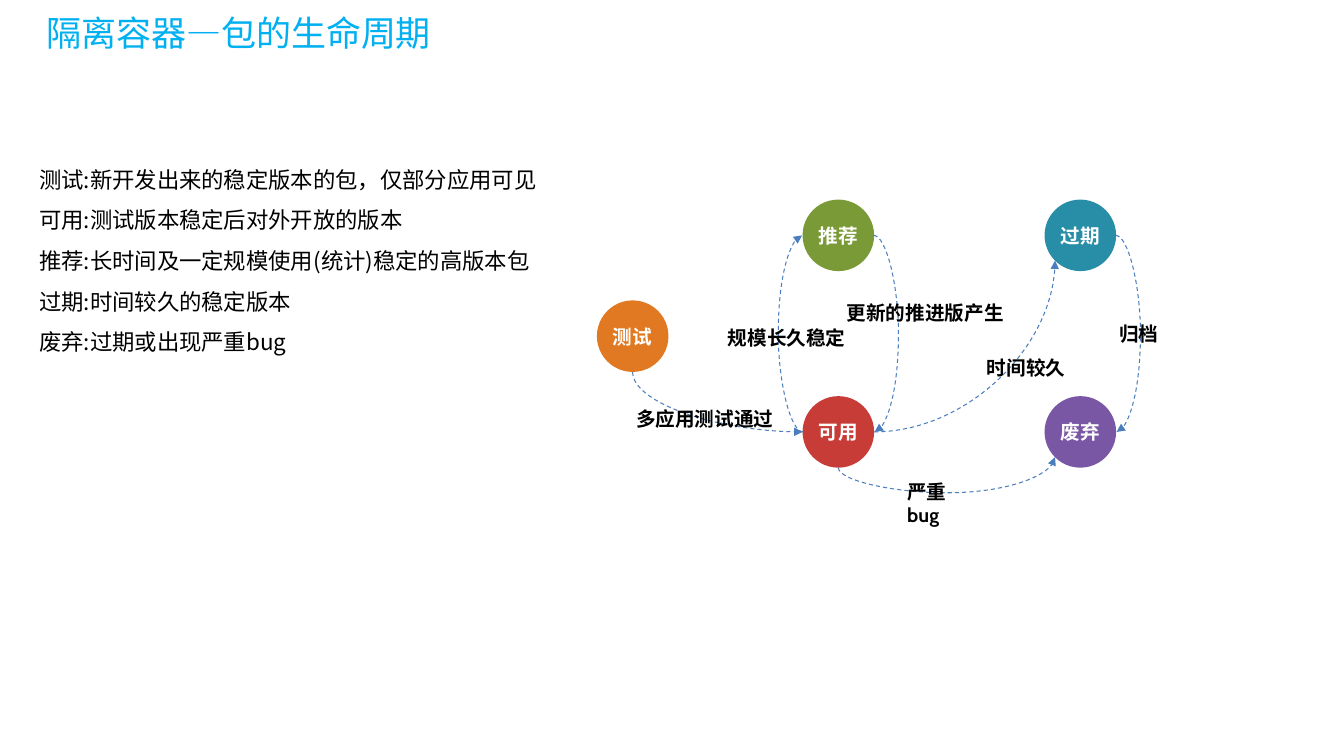
from math import cos, pi, sin

from lxml.etree import SubElement
from pptx import Presentation
from pptx.dml.color import RGBColor
from pptx.enum.dml import MSO_LINE
from pptx.enum.shapes import MSO_CONNECTOR, MSO_SHAPE
from pptx.enum.text import MSO_ANCHOR
from pptx.oxml.ns import qn
from pptx.util import Inches, Pt

SKY = RGBColor(0x00, 0xB0, 0xF0)
BLACK = RGBColor(0x00, 0x00, 0x00)
WHITE = RGBColor(0xFF, 0xFF, 0xFF)
ARROW_BLUE = RGBColor(0x4B, 0x7E, 0xBC)
ORANGE = RGBColor(0xE0, 0x79, 0x21)
RED = RGBColor(0xC8, 0x3C, 0x38)
TEAL = RGBColor(0x28, 0x8D, 0xA7)
GREEN = RGBColor(0x7A, 0x9A, 0x38)
PURPLE = RGBColor(0x79, 0x57, 0xA4)

DIAMETER = 0.71
BULGE = 0.25
BOTTOM_LEFT, LEFT, BOTTOM, RIGHT = 3, 2, 4, 6

STATES = {
    "测试": (0, 1, ORANGE),
    "可用": (2.04, 1.95, RED),
    "过期": (4.44, 0, TEAL),
    "推荐": (2.04, 0, GREEN),
    "废弃": (4.44, 1.95, PURPLE),
}
TRANSITIONS = [
    ("可用", LEFT, "推荐", LEFT, 180, "", 1),
    ("测试", BOTTOM, "可用", LEFT, 270, "H", 0),
    ("推荐", RIGHT, "可用", RIGHT, 0, "", 1),
    ("过期", RIGHT, "废弃", RIGHT, 0, "", 1),
    ("可用", RIGHT, "过期", BOTTOM_LEFT, 0, "V", 0),
    ("可用", BOTTOM, "废弃", BOTTOM_LEFT, 90, "HV", -1),
]
CAPTIONS = [
    ("多应用测试通过", 0.29, 2.01, 1.58, False),
    ("规模长久稳定", 1.2, 1.2, 1.38, False),
    ("更新的推进版产生", 2.38, 0.96, 1.77, False),
    ("时间较久", 3.77, 1.5, 0.99, False),
    ("严重bug", 2.98, 2.73, 0.9, True),
    ("归档", 5.08, 1.16, 0.59, False),
]
DEFINITIONS = [
    "测试:新开发出来的稳定版本的包，仅部分应用可见",
    "可用:测试版本稳定后对外开放的版本",
    "推荐:长时间及一定规模使用(统计)稳定的高版本包",
    "过期:时间较久的稳定版本",
    "废弃:过期或出现严重bug",
]


def add_text(slide, box, lines, size, color, font="Cabin", bold=False, wrap=True):
    """Place a text box with one paragraph per line and return its frame."""
    text_frame = slide.shapes.add_textbox(*map(Inches, box)).text_frame
    text_frame.text = "\n".join(lines)
    text_frame.word_wrap = wrap
    for paragraph in text_frame.paragraphs:
        font_format = paragraph.runs[0].font
        font_format.name = font
        font_format.size = Pt(size)
        font_format.bold = bold
        font_format.color.rgb = color
    return text_frame


def add_title(slide, box):
    """Place the slide title."""
    text_frame = add_text(slide, box, ["隔离容器—包的生命周期"], 25, SKY)
    text_frame.vertical_anchor = MSO_ANCHOR.MIDDLE
    text_frame.margin_left = text_frame.margin_right = Inches(0.17)
    text_frame.margin_top = text_frame.margin_bottom = Inches(0.08)


def add_definitions(slide, box):
    """Place the explanation of each state."""
    text_frame = add_text(slide, box, DEFINITIONS, 16, BLACK, "Noto Sans CJK SC")
    for paragraph in text_frame.paragraphs:
        paragraph.line_spacing = Pt(29)


def add_state(slide, left, top, color):
    """Draw the circle of one state."""
    circle = slide.shapes.add_shape(
        MSO_SHAPE.OVAL, *map(Inches, (left, top, DIAMETER, DIAMETER)))
    circle.shadow.inherit = False
    circle.fill.solid()
    circle.fill.fore_color.rgb = color
    circle.line.fill.background()
    return circle


def site_point(circle, site):
    """Return a connection site, counted anticlockwise from the top."""
    radius = circle.width / 2
    angle = site * pi / 4
    return (circle.left + radius * (1 - sin(angle)),
            circle.top + radius * (1 - cos(angle)))


def add_transition(slide, source, source_site, target, target_site,
                   rotation, flips, bulge):
    """Draw a dashed curved arrow glued to two circles."""
    x1, y1 = site_point(source, source_site)
    x2, y2 = site_point(target, target_site)
    width, height = abs(x2 - x1), abs(y2 - y1)
    if rotation in (90, 270):
        width, height = height, width
    width = max(width, Inches(0.01))
    connector = slide.shapes.add_connector(MSO_CONNECTOR.CURVE, 0, 0, 0, 0)
    connector.left = round((x1 + x2 - width) / 2)
    connector.top = round((y1 + y2 - height) / 2)
    connector.width, connector.height = round(width), round(height)
    connector.line.color.rgb = ARROW_BLUE
    connector.line.width = Pt(0.75)
    connector.line.dash_style = MSO_LINE.DASH

    element = connector._element
    properties = element.spPr
    transform = properties.find(qn("a:xfrm"))
    transform.set("rot", str(rotation * 60000))
    for flip in flips:
        transform.set("flip" + flip, "1")
    geometry = properties.find(qn("a:prstGeom"))
    geometry.set("prst", "curvedConnector3" if bulge else "curvedConnector2")
    if bulge:
        adjustment = round(bulge * Inches(BULGE) / width * 100000)
        guides = geometry.find(qn("a:avLst"))
        SubElement(guides, qn("a:gd"), name="adj1", fmla=f"val {adjustment}")
    SubElement(properties.find(qn("a:ln")), qn("a:tailEnd"), type="triangle")
    SubElement(properties, qn("a:effectLst"))
    links = element.find(".//" + qn("p:cNvCxnSpPr"))
    for tag, circle, site in (("a:stCxn", source, source_site),
                              ("a:endCxn", target, target_site)):
        SubElement(links, qn(tag), id=str(circle.shape_id), idx=str(site))


def add_lifecycle(slide, left, top):
    """Draw the state diagram from its top left corner."""
    circles = {name: add_state(slide, left + x, top + y, color)
               for name, (x, y, color) in STATES.items()}
    for name, (x, y, _) in STATES.items():
        add_text(slide, (left + x + 0.06, top + y + 0.19, 0.59, 0.34),
                 [name], 14, WHITE, bold=True, wrap=False)
    for source, source_site, target, target_site, *route in TRANSITIONS:
        add_transition(slide, circles[source], source_site,
                       circles[target], target_site, *route)
    for caption, x, y, width, wrap in CAPTIONS:
        add_text(slide, (left + x, top + y, width, 0.34),
                 [caption], 14, BLACK, bold=True, wrap=wrap)


def main():
    """Build and save the slide."""
    presentation = Presentation()
    presentation.slide_width = Inches(13.33)
    presentation.slide_height = Inches(7.5)
    slide = presentation.slides.add_slide(presentation.slide_layouts[6])
    add_title(slide, (0.29, 0.05, 12.15, 0.55))
    add_lifecycle(slide, 5.92, 1.98)
    add_definitions(slide, (0.29, 1.46, 5.56, 2.12))
    presentation.save("out.pptx")


if __name__ == "__main__":
    main()
